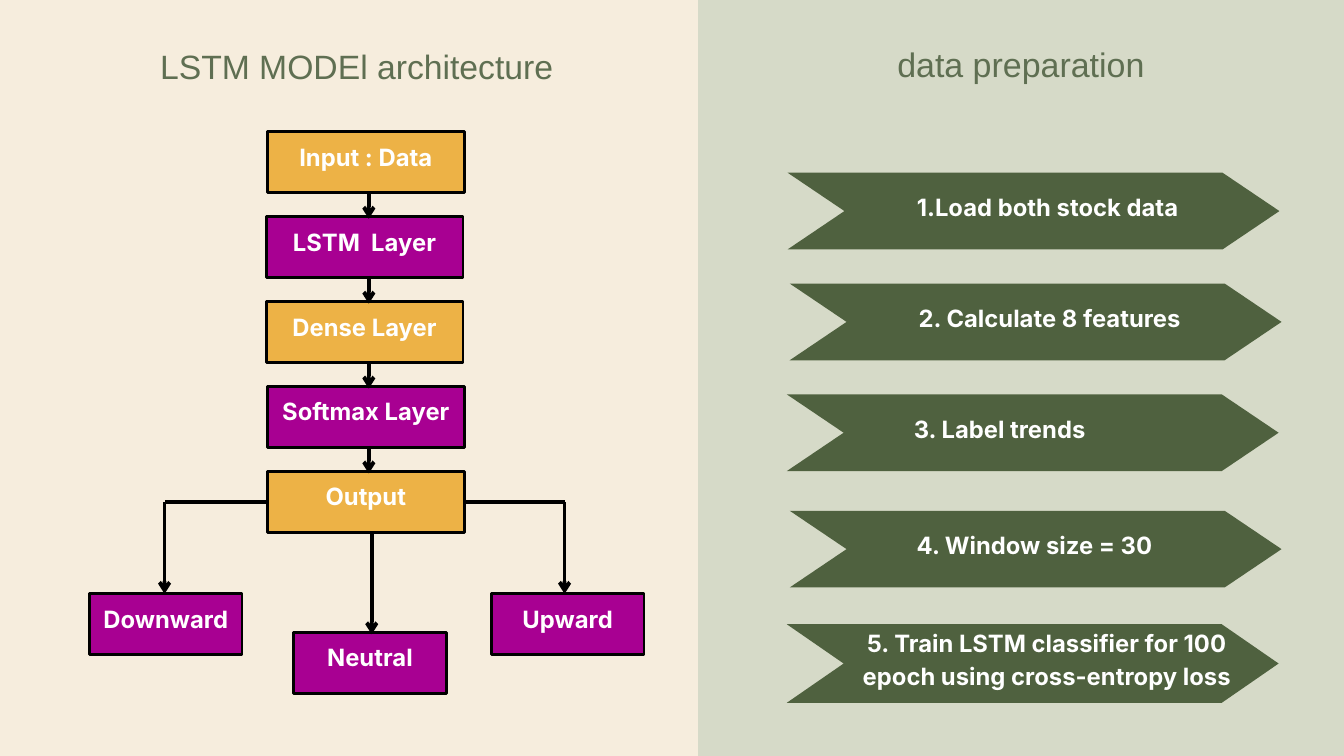
from lxml.etree import SubElement
from pptx import Presentation
from pptx.dml.color import RGBColor
from pptx.enum.shapes import MSO_CONNECTOR as CONN, MSO_SHAPE as SHAPE
from pptx.enum.text import MSO_ANCHOR as ANCHOR, PP_ALIGN as ALIGN
from pptx.oxml.ns import qn
from pptx.util import Cm, Pt

COLORS = {
    "cream": "F6EDDD", "sage": "D6DAC8", "moss": "5F6F52", "forest": "4F613F",
    "purple": "A80092", "amber": "EDB246", "white": "FFFFFF", "black": "000000",
}

# All lengths are centimetres.
SLIDE_W, SLIDE_H, PANEL_X = 50.8, 28.58, 26.39

# text, left, top, width, size, line spacing, alignment
TITLE = ("LSTM MODEl architecture", 6.05, 1.7, 19.35, 36.1, 43.7, ALIGN.LEFT)
SUBTITLE = ("data preparation", 28.76, 1.65, 19.66, 36.4, 44, ALIGN.CENTER)

# text, left, fill
LAYERS = [
    ("Input : Data", 10.11, "amber"),
    ("LSTM  Layer", 10.06, "purple"),
    ("Dense Layer", 10.06, "amber"),
    ("Softmax Layer", 10.11, "purple"),
    ("Output", 10.11, "amber"),
]
LAYER_TOP, LAYER_PITCH, LAYER_W, BOX_H = 4.98, 3.21, 7.44, 2.31
FLOW_X, OVERLAP = 13.94, 0.08

# text, left, top
OUTCOMES = [("Downward", 3.38, 22.45), ("Neutral", 11.1, 23.9), ("Upward", 18.57, 22.45)]
OUTCOME_W = 5.77
DOWNWARD_X, NEUTRAL_X, UPWARD_X = 6.22, 14.05, 21.34

# text, left, top, height, indent (None centres the text)
STEPS = [
    ("1.Load both stock data", 29.77, 6.53, 2.9, None),
    ("2. Calculate 8 features", 29.85, 10.72, 2.9, None),
    ("3. Label trends", 29.74, 14.91, 2.9, 2.77),
    ("4. Window size = 30", 29.85, 19.31, 2.9, 2.77),
    ("5. Train LSTM classifier for 100 epoch using cross-entropy loss",
     29.74, 23.6, 2.97, None),
]
STEP_W, STEP_POINT, STEP_TEXT_DX, STEP_TEXT_W = 18.59, 2.15, 1.88, 15.9
PAD, RAISE = 0.15, 0.6

prs = Presentation()
prs.slide_width, prs.slide_height = Cm(SLIDE_W), Cm(SLIDE_H)
slide = prs.slides.add_slide(prs.slide_layouts[5])


def rgb(name):
    return RGBColor.from_string(COLORS[name])


def write(sp, text, font, size, spacing, color, align=ALIGN.CENTER,
          anchor=ANCHOR.MIDDLE, margins=(PAD, PAD, PAD, PAD), bold=False):
    """Fill a shape with one paragraph; margins run left, top, right, bottom."""
    tf = sp.text_frame
    tf.word_wrap = True
    tf.vertical_anchor = anchor
    tf.margin_left, tf.margin_top, tf.margin_right, tf.margin_bottom = map(Cm, margins)
    p = tf.paragraphs[0]
    p.text = text
    p.alignment = align
    p.line_spacing = Pt(spacing)
    p.font.name, p.font.size, p.font.bold = font, Pt(size), bold
    p.font.color.rgb = rgb(color)


def write_label(sp, text, **options):
    write(sp, text, "Inter", 25.5, 35.7, "white", bold=True, **options)


def write_heading(sp, text, x, y, w, size, spacing, align):
    sp.left, sp.top, sp.width, sp.height = Cm(x), Cm(y), Cm(w), Cm(1.4)
    write(sp, text, "Arial", size, spacing, "moss", align, ANCHOR.TOP, (0, 0, 0, 0))


def add_filled(kind, x, y, w, h, fill):
    sp = slide.shapes.add_shape(kind, Cm(x), Cm(y), Cm(w), Cm(h))
    sp.shadow.inherit = False
    sp.fill.solid()
    sp.fill.fore_color.rgb = rgb(fill)
    sp.line.fill.background()
    return sp


def add_node(text, x, y, w, fill):
    sp = add_filled(SHAPE.RECTANGLE, x, y, w, BOX_H, fill)
    sp.line.color.rgb = rgb("black")
    sp.line.width = Pt(3)
    write_label(sp, text, margins=(PAD, PAD, PAD, PAD + RAISE))


def add_line(x1, y1, x2, y2, arrow=True):
    c = slide.shapes.add_connector(CONN.STRAIGHT, Cm(x1), Cm(y1), Cm(x2), Cm(y2))
    c.line.color.rgb = rgb("black")
    c.line.width = Pt(4)
    if arrow:
        SubElement(c.line._get_or_add_ln(), qn("a:tailEnd"), type="arrow")
    SubElement(c._element.spPr, qn("a:effectLst"))


def add_step(text, x, y, h, indent):
    sp = add_filled(SHAPE.CHEVRON, x, y, STEP_W, h, "forest")
    sp.adjustments[0] = STEP_POINT / h
    box = slide.shapes.add_textbox(
        Cm(x + STEP_TEXT_DX), Cm(y - 0.5), Cm(STEP_TEXT_W), Cm(h + 0.5))
    if indent is None:
        write_label(box, text)
    else:
        write_label(box, text, align=ALIGN.LEFT, margins=(PAD + indent, PAD, PAD, PAD))


slide.background.fill.solid()
slide.background.fill.fore_color.rgb = rgb("cream")
add_filled(SHAPE.RECTANGLE, PANEL_X, 0, SLIDE_W - PANEL_X, SLIDE_H, "sage")
write_heading(slide.shapes.title, *TITLE)
write_heading(slide.shapes.add_textbox(0, 0, 0, 0), *SUBTITLE)

for step in STEPS:
    add_step(*step)

tops = [LAYER_TOP + i * LAYER_PITCH for i in range(len(LAYERS))]
for (text, x, fill), y in zip(LAYERS, tops):
    add_node(text, x, y, LAYER_W, fill)
for text, x, y in OUTCOMES:
    add_node(text, x, y, OUTCOME_W, "purple")

for y, next_y in zip(tops, tops[1:]):
    add_line(FLOW_X, y + BOX_H, FLOW_X, next_y + OVERLAP)

output_x, output_y = LAYERS[-1][1], tops[-1]
branch_y = output_y + BOX_H / 2
side_top, neutral_top = OUTCOMES[0][2], OUTCOMES[1][2]
add_line(NEUTRAL_X, output_y + BOX_H, NEUTRAL_X, neutral_top + OVERLAP)
for edge, x in ((output_x, DOWNWARD_X), (output_x + LAYER_W, UPWARD_X)):
    add_line(edge, branch_y, x, branch_y, arrow=False)
    add_line(x, branch_y, x, side_top)

prs.save("out.pptx")
